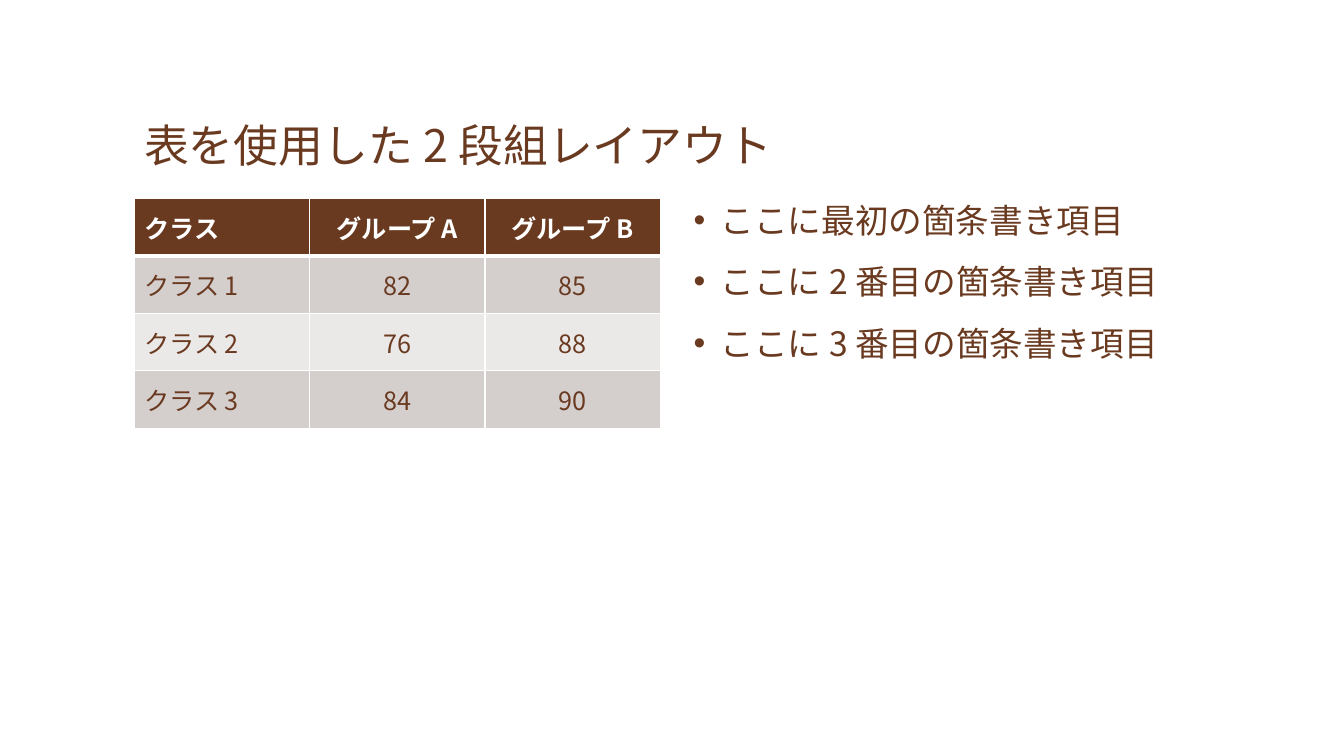
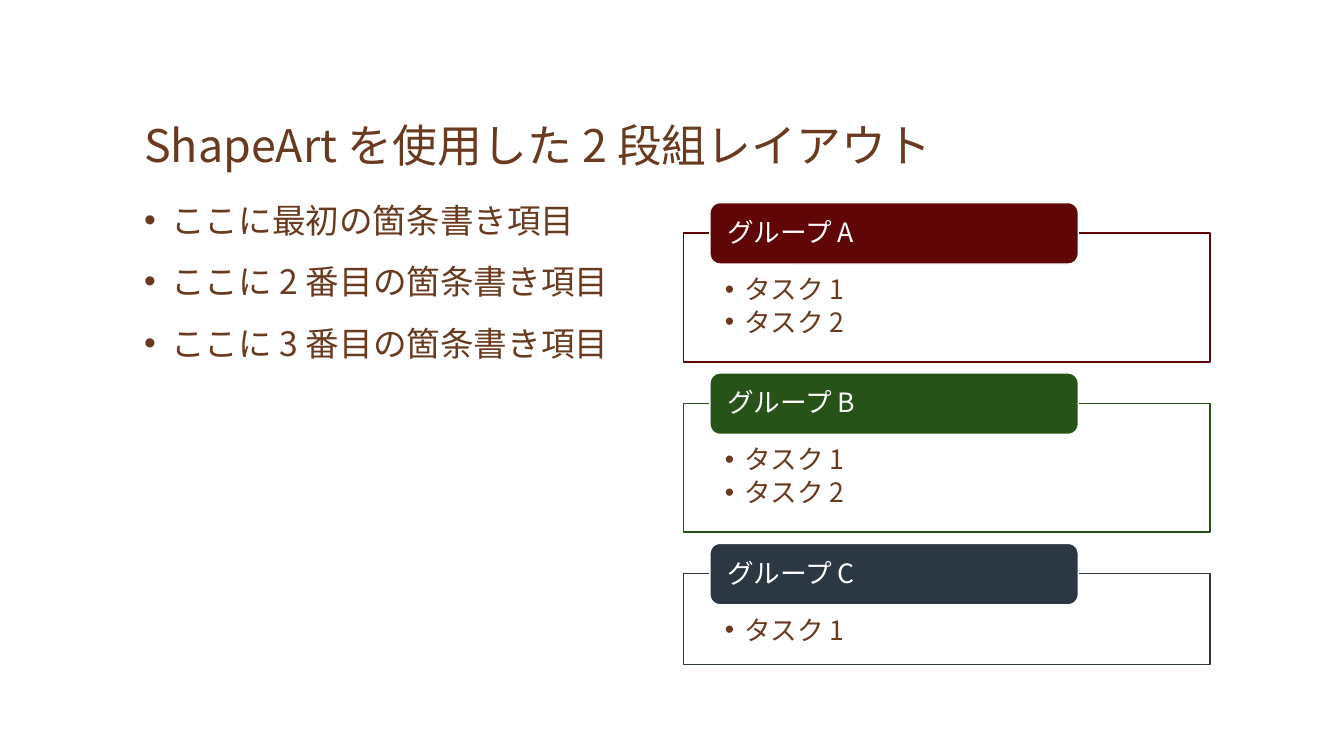
import lxml.etree
import pptx
import pptx.dml.color
import pptx.enum.shapes
import pptx.enum.text
import pptx.oxml.ns
import pptx.util

RGBColor = pptx.dml.color.RGBColor
BROWN = RGBColor(0x6A, 0x3A, 0x20)
WHITE = RGBColor(0xFF, 0xFF, 0xFF)
DARK = RGBColor(0xD4, 0xCE, 0xCD)
LIGHT = RGBColor(0xEB, 0xE8, 0xE8)
RED = RGBColor(0x61, 0x06, 0x06)
GREEN = RGBColor(0x27, 0x52, 0x18)
NAVY = RGBColor(0x2B, 0x37, 0x42)

FONT = "Noto Sans CJK JP"
WIDE, HIGH = 13.33, 7.5
EDGE, GAP = 1.33, 0.23
COL = (WIDE - 2 * EDGE - GAP) / 2
LEFT, RIGHT = EDGE, EDGE + COL + GAP
TOP = 1.97
LINE = 1.08  # line pitch as a share of the text size

POINTS = [
    "ここに最初の箇条書き項目",
    "ここに 2 番目の箇条書き項目",
    "ここに 3 番目の箇条書き項目",
]
SCORES = [
    ["クラス", "グループ A", "グループ B"],
    ["クラス 1", "82", "85"],
    ["クラス 2", "76", "88"],
    ["クラス 3", "84", "90"],
]
GROUPS = [
    ("グループ A", RED, 1.28, ["タスク 1", "タスク 2"]),
    ("グループ B", GREEN, 1.28, ["タスク 1", "タスク 2"]),
    ("グループ C", NAVY, 0.9, ["タスク 1"]),
]

ALIGN = pptx.enum.text.PP_ALIGN
ANCHOR = pptx.enum.text.MSO_ANCHOR
SHAPE = pptx.enum.shapes.MSO_SHAPE
Pt = pptx.util.Pt
qn = pptx.oxml.ns.qn


def inches(*sizes):
    return [pptx.util.Inches(size) for size in sizes]


def add_node(parent, tag, **attrs):
    return lxml.etree.SubElement(parent, qn(tag), attrs)


def add_run(para, text, size, color, bold=False):
    run = para.add_run()
    run.text = text
    run.font.size = Pt(size)
    run.font.bold = bold
    run.font.color.rgb = color
    run.font.name = FONT
    add_node(run.font._element, "a:ea", typeface=FONT)


def set_frame(frame, anchor, pads=(0.1, 0.05, 0.1, 0.05)):
    frame.word_wrap = True
    frame.auto_size = pptx.enum.text.MSO_AUTO_SIZE.NONE
    frame.vertical_anchor = anchor
    (frame.margin_left, frame.margin_top,
     frame.margin_right, frame.margin_bottom) = inches(*pads)


def add_lines(frame, lines, size, color, indent=0, before=0, after=0):
    """Fill the frame with left-aligned lines, bulleted if indented."""
    for row, text in enumerate(lines):
        para = frame.add_paragraph() if row else frame.paragraphs[0]
        para.alignment = ALIGN.LEFT
        para.line_spacing = Pt(LINE * size)
        para.space_before, para.space_after = Pt(before), Pt(after)
        if indent:
            props = para._p.get_or_add_pPr()
            depth = inches(indent)[0]
            props.set("marL", str(depth))
            props.set("indent", str(-depth))
            add_node(props, "a:buFont", typeface="Arial")
            add_node(props, "a:buChar", char="•")
        add_run(para, text, size, color)


def add_slide(deck, text):
    slide = deck.slides.add_slide(deck.slide_layouts[5])
    title = slide.shapes.title
    title.left, title.top, title.width, title.height = inches(
        EDGE, 0.47, WIDE - 2 * EDGE, 1.28)
    set_frame(title.text_frame, ANCHOR.BOTTOM)
    add_lines(title.text_frame, [text], 32, BROWN)
    return slide


def add_points(slide, left):
    box = slide.shapes.add_textbox(*inches(left, TOP, COL, 4.67))
    set_frame(box.text_frame, ANCHOR.TOP)
    add_lines(box.text_frame, POINTS, 24, BROWN, indent=0.27, before=18)


def set_edges(cell, base):
    props = cell._tc.get_or_add_tcPr()
    for side, width in zip("LRTB", (1, 1, 1, base)):
        edge = add_node(props, "a:ln" + side, w=str(Pt(width)))
        fill = add_node(edge, "a:solidFill")
        add_node(fill, "a:srgbClr", val=str(WHITE))


def add_scores(slide, left):
    high = 0.57 * len(SCORES)
    grid = slide.shapes.add_table(
        len(SCORES), len(SCORES[0]), *inches(left, TOP, COL, high)).table
    for row, texts in enumerate(SCORES):
        head = row == 0
        for col, text in enumerate(texts):
            cell = grid.cell(row, col)
            set_edges(cell, 3 if head else 1)
            cell.fill.solid()
            cell.fill.fore_color.rgb = BROWN if head else DARK if row % 2 else LIGHT
            cell.vertical_anchor = ANCHOR.MIDDLE
            para = cell.text_frame.paragraphs[0]
            para.alignment = ALIGN.CENTER if col else ALIGN.LEFT
            add_run(para, text, 18, WHITE if head else BROWN, head)


def add_box(slide, kind, place, fill, line):
    box = slide.shapes.add_shape(kind, *inches(*place))
    box.shadow.inherit = False
    box.fill.solid()
    box.fill.fore_color.rgb = fill
    box.line.color.rgb = line
    box.line.width = Pt(1)
    return box.text_frame


def add_groups(slide, left):
    """Stack framed task lists, each with a label across its top edge."""
    top = 2.31
    for name, color, high, tasks in GROUPS:
        body = add_box(slide, SHAPE.RECTANGLE, (left, top, COL, high),
                       WHITE, color)
        set_frame(body, ANCHOR.TOP, (0.41, 0.43, 0.41, 0.15))
        add_lines(body, tasks, 19, BROWN, indent=0.19, after=2.85)
        label = add_box(slide, SHAPE.ROUNDED_RECTANGLE,
                        (left + COL * 0.05, top - 0.3, COL * 0.7, 0.61),
                        color, WHITE)
        set_frame(label, ANCHOR.MIDDLE, (0.14, 0, 0.14, 0))
        add_lines(label, [name], 19, WHITE)
        top += high + 0.41


def main():
    deck = pptx.Presentation()
    deck.slide_width, deck.slide_height = inches(WIDE, HIGH)

    slide = add_slide(deck, "表を使用した 2 段組レイアウト")
    add_scores(slide, LEFT)
    add_points(slide, RIGHT)

    slide = add_slide(deck, "ShapeArt を使用した 2 段組レイアウト")
    add_points(slide, LEFT)
    add_groups(slide, RIGHT)

    deck.save("out.pptx")


if __name__ == "__main__":
    main()
